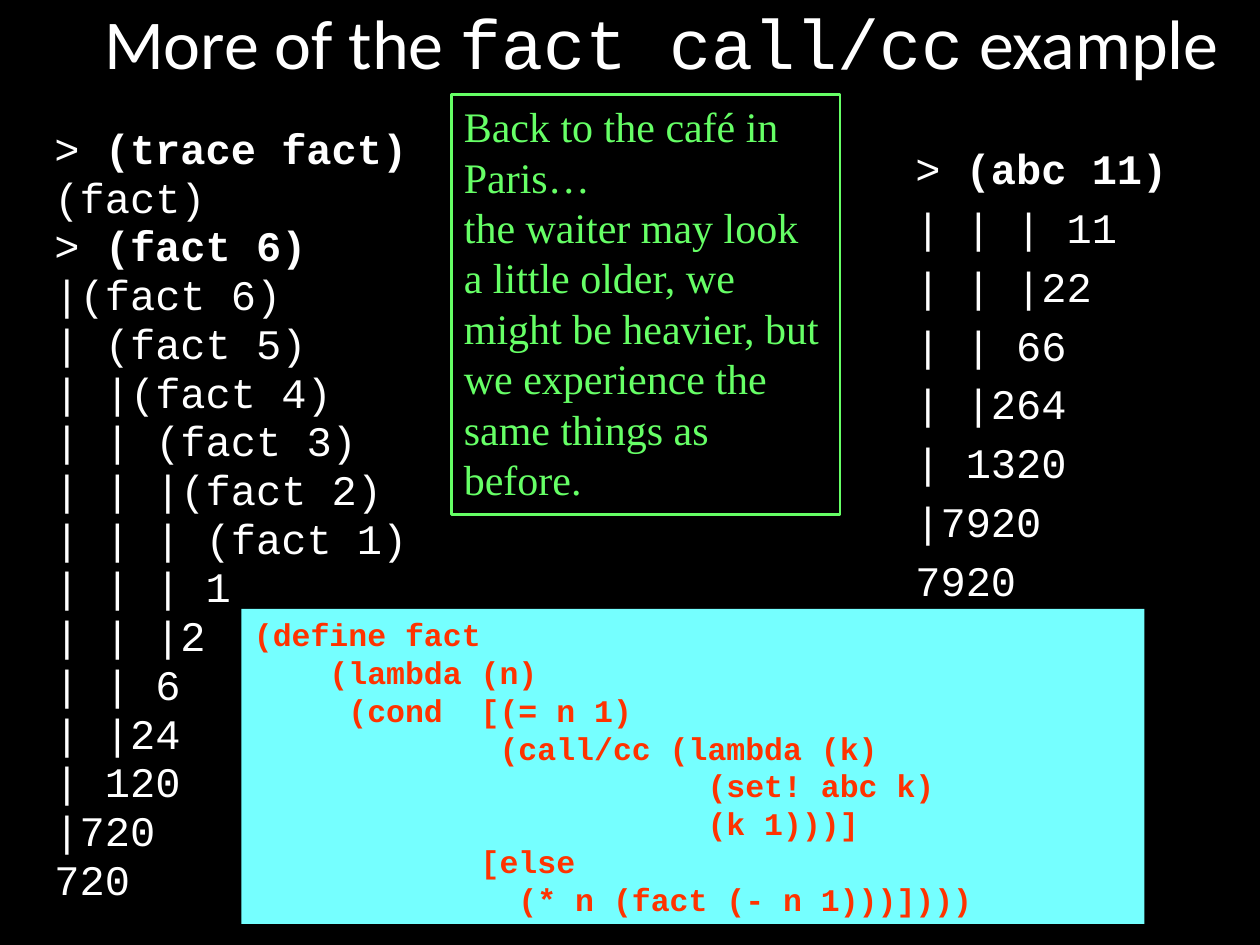
"""Build the slide on the fact call/cc example."""
from pptx import Presentation
from pptx import util as u
from pptx.dml.color import RGBColor
from pptx.enum import shapes, text

MONO = "Courier New"
CALLS = """> *(trace fact)
(fact)
> *(fact 6)
|(fact 6)
| (fact 5)
| |(fact 4)
| | (fact 3)
| | |(fact 2)
| | | (fact 1)
| | | 1
| | |2
| | 6
| |24
| 120
|720
720"""
AGAIN = """> *(abc 11)
| | | 11
| | |22
| | 66
| |264
| 1320
|7920
7920"""
CODE = """(define fact
    (lambda (n)
     (cond  [(= n 1)
             (call/cc (lambda (k)
                        (set! abc k)
                        (k 1)))]
            [else
              (* n (fact (- n 1)))])))"""

deck = Presentation()
deck.slide_width, deck.slide_height = u.Inches(10), u.Inches(7.5)
slide = deck.slides.add_slide(deck.slide_layouts[6])
col, row = deck.slide_width // 120, deck.slide_height // 90


def paint(fill, tone):
    fill.solid()
    fill.fore_color.rgb = RGBColor.from_string(tone)


def write(par, words, font, size, tone, bold=False):
    run = par.add_run()
    run.text = words
    run.font.name, run.font.size, run.font.bold = font, u.Pt(size), bold
    paint(run.font.fill, tone)


paint(slide.background.fill, "000000")

code = slide.shapes.add_shape(
    shapes.MSO_SHAPE.RECTANGLE, 23 * col, 58 * row, 86 * col, 30 * row)
code.shadow.inherit = False
paint(code.fill, "75FFFF")
code.line.fill.background()
frame = code.text_frame
frame.vertical_anchor = text.MSO_ANCHOR.TOP
for num, line in enumerate(CODE.split("\n")):
    par = frame.add_paragraph() if num else frame.paragraphs[0]
    par.alignment = text.PP_ALIGN.LEFT
    write(par, line, MONO, 18, "FF3300", True)

title = slide.shapes.add_textbox(0, 0, 126 * col, 8 * row).text_frame
title.word_wrap = True
title.vertical_anchor = text.MSO_ANCHOR.MIDDLE
par = title.paragraphs[0]
par.alignment = text.PP_ALIGN.CENTER
for words, font in (("More of the ", "Calibri"), ("fact call/cc", MONO),
                    (" example", "Calibri")):
    write(par, words, font, 40, "FFFFFF")

for trace, left, top, wide, high, lead in (
        (CALLS, 4, 12, 52, 74, 0.8), (AGAIN, 86, 13, 37, 48, 1.0)):
    frame = slide.shapes.add_textbox(
        left * col, top * row, wide * col, high * row).text_frame
    frame.word_wrap = True
    for num, line in enumerate(trace.split("\n")):
        par = frame.add_paragraph() if num else frame.paragraphs[0]
        par.line_spacing, par.space_before = lead, u.Pt(4.8)
        for part, words in enumerate(line.split("*")):
            write(par, words, MONO, 24, "FFFFFF", part > 0)

note = slide.shapes.add_shape(
    shapes.MSO_SHAPE.RECTANGLE, 43 * col, 9 * row, 37 * col, 40 * row)
note.shadow.inherit = False
note.fill.background()
paint(note.line.fill, "66FF66")
note.line.width = u.Pt(1.5)
note.text_frame.vertical_anchor = text.MSO_ANCHOR.TOP
par = note.text_frame.paragraphs[0]
par.alignment = text.PP_ALIGN.LEFT
write(par, "Back to the café in Paris… ", "Times New Roman", 24, "66FF66")
par.add_line_break()
write(par, "the waiter may look a little older, we might be heavier, "
      "but we experience the same things as before.",
      "Times New Roman", 24, "66FF66")

deck.save("out.pptx")
